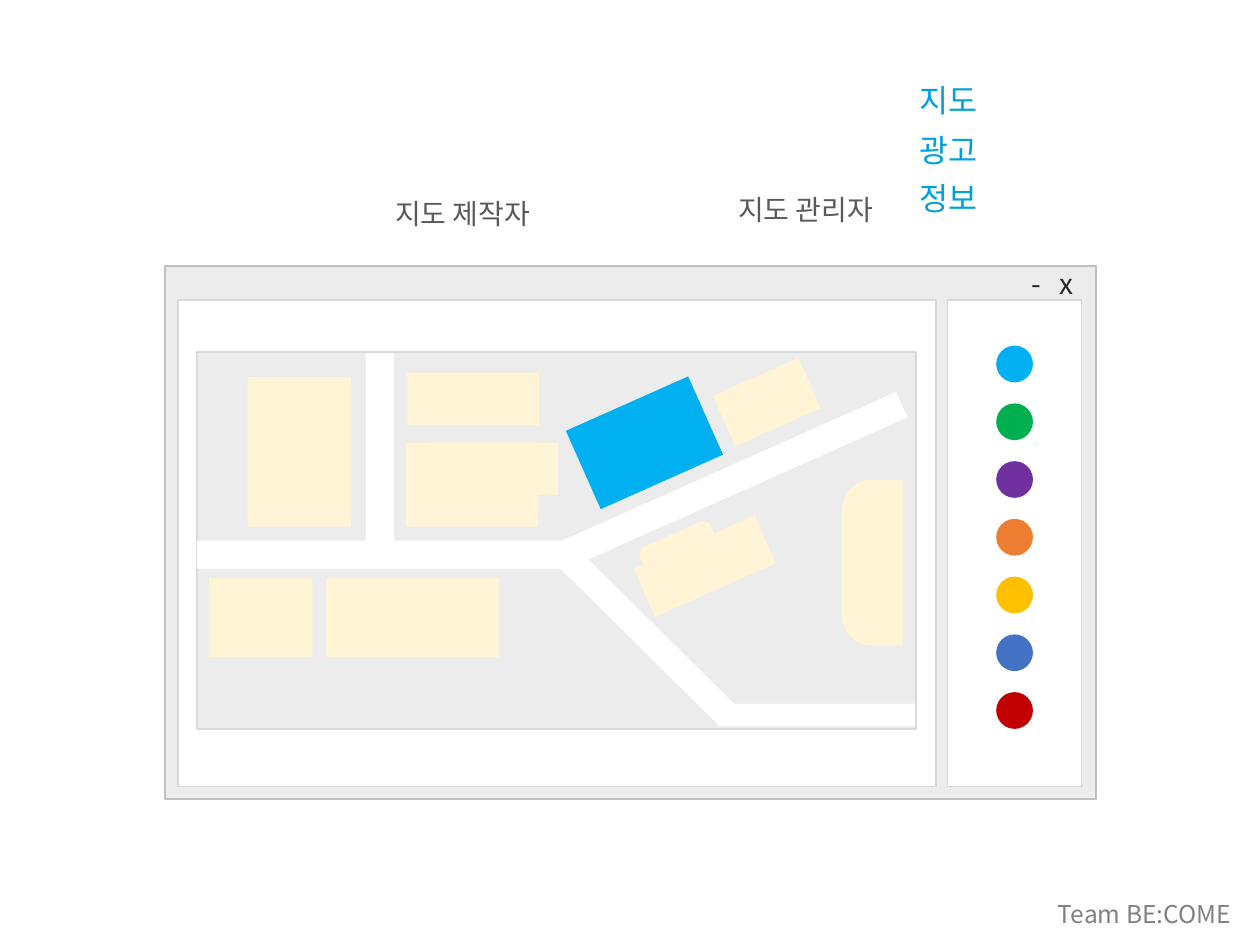
from collections import namedtuple
from dataclasses import dataclass

from lxml import etree
from pptx import Presentation
from pptx.dml.color import RGBColor
from pptx.enum.shapes import MSO_SHAPE
from pptx.enum.text import MSO_AUTO_SIZE, PP_ALIGN
from pptx.oxml.ns import qn
from pptx.util import Pt

RECT = MSO_SHAPE.RECTANGLE
ROUNDED = MSO_SHAPE.ROUNDED_RECTANGLE
ROUND_TOP = MSO_SHAPE.ROUND_2_SAME_RECTANGLE
OVAL = MSO_SHAPE.OVAL
LEFT, CENTER = PP_ALIGN.LEFT, PP_ALIGN.CENTER
FIT_SHAPE = MSO_AUTO_SIZE.SHAPE_TO_FIT_TEXT

Box = namedtuple("Box", "x y w h")


@dataclass(frozen=True)
class Theme:
    font: str = "Noto Sans CJK KR"
    ground: str = "ECECEC"
    white: str = "FFFFFF"
    window_edge: str = "BFBFBF"
    panel_edge: str = "D9D9D9"
    building: str = "FFF4D5"
    selected: str = "00B0F0"
    control: str = "262626"
    role: str = "595959"
    topic: str = "00A1DA"
    team: str = "808080"
    role_size: int = 16
    topic_size: int = 18
    team_size: int = 14
    palette: tuple = ("00B0F0", "00B050", "7030A0", "ED7D31",
                      "FFC000", "4472C4", "C00000")


THEME = Theme()


def inside(outer, x, y, w, h):
    """Box given relative to the top left corner of another box."""
    return Box(outer.x + x, outer.y + y, w, h)


def draw(slide, box, fill, edge=None, kind=RECT, angle=0):
    shape = slide.shapes.add_shape(kind, *map(Pt, box))
    shape.shadow.inherit = False
    shape.rotation = angle
    shape.fill.solid()
    shape.fill.fore_color.rgb = RGBColor.from_string(fill)
    if edge:
        shape.line.color.rgb = RGBColor.from_string(edge)
        shape.line.width = Pt(1)
    else:
        shape.line.fill.background()
    return shape


def write(slide, box, text, size, color, align=CENTER, wrap=True, tab=None):
    frame = slide.shapes.add_textbox(*map(Pt, box)).text_frame
    frame.word_wrap = wrap
    frame.auto_size = FIT_SHAPE
    paragraph = frame.paragraphs[0]
    paragraph.text = text
    paragraph.alignment = align
    properties = paragraph._p.get_or_add_pPr()
    if tab:
        stops = etree.SubElement(properties, qn("a:tabLst"))
        etree.SubElement(stops, qn("a:tab"), pos=str(Pt(tab)), algn="l")
    paragraph.font.size = Pt(size)
    paragraph.font.color.rgb = RGBColor.from_string(color)
    paragraph.font.name = THEME.font
    # Korean glyphs take the East Asian typeface
    defaults = properties.find(qn("a:defRPr"))
    etree.SubElement(defaults, qn("a:ea"), typeface=THEME.font)


def add_palette(slide, panel):
    draw(slide, panel, THEME.white, THEME.panel_edge)
    dot, pitch, top = 21, 33, 26
    for row, color in enumerate(THEME.palette):
        swatch = inside(panel, (panel.w - dot) / 2, top + row * pitch, dot, dot)
        draw(slide, swatch, color, kind=OVAL)


def add_window(slide, window):
    draw(slide, window, THEME.ground, THEME.window_edge)
    canvas = inside(window, 7, 19.5, 433.5, 278)
    draw(slide, canvas, THEME.white, THEME.panel_edge)
    add_palette(slide, inside(window, 447, 19.5, 76.5, 278))
    # Minimise and close controls
    write(slide, inside(window, 488, -3.5, 41.5, 26.5), "-\tx",
          THEME.role_size, THEME.control, LEFT, wrap=False, tab=16)
    add_map(slide, inside(canvas, 11, 29.5, 411, 215.5))


def add_map(slide, area):
    draw(slide, area, THEME.ground, THEME.panel_edge)
    slope = 336  # direction of the diagonal street

    # Roads: x, y, width, height, angle
    for *place, angle in (
        (0, 108, 212.5, 16, 0),
        (199.5, 65.5, 212.5, 16, slope),
        (188, 153.5, 135.5, 15, 44.7),
        (45.5, 52, 118, 16, 90),
        (297.5, 201, 113, 13, 0),
    ):
        draw(slide, inside(area, *place), THEME.white, angle=angle)

    # Buildings: x, y, width, height, angle
    for *place, angle in (
        (119.5, 52, 75.5, 48, 0),
        (131, 52, 75.5, 30, 0),
        (252.5, 107.5, 75.5, 30, slope),
        (7, 129, 59, 45.5, 0),
        (74, 129, 98.5, 45.5, 0),
        (299, 13, 53.5, 31.5, slope),
        (29, 14.5, 59, 85.5, 0),
        (120, 12, 75.5, 30, 0),
    ):
        draw(slide, inside(area, *place), THEME.building, angle=angle)

    # Buildings with rounded corners
    draw(slide, inside(area, 255.5, 103, 44.5, 30), THEME.building,
         kind=ROUNDED, angle=slope)
    hall = draw(slide, inside(area, 338.5, 103, 95, 35), THEME.building,
                kind=ROUND_TOP, angle=270)
    hall.adjustments[0] = 0.5

    # Selected building
    draw(slide, inside(area, 217.5, 27.5, 76.5, 49), THEME.selected, angle=slope)


def add_labels(slide, page):
    # Roles
    for role, x, y in (("지도 제작자", 201, 108.5), ("지도 관리자", 397, 106.5)):
        write(slide, inside(page, x, y, 126.5, 26.5), role,
              THEME.role_size, THEME.role)
    # Topics
    for topic, y in (("지도", 42.5), ("광고", 71.5), ("정보", 98.5)):
        write(slide, inside(page, 518, y, 47.5, 29), topic,
              THEME.topic_size, THEME.topic, wrap=False)
    # Team name
    write(slide, inside(page, 597.5, 510, 122.5, 24.5), "Team BE:COME",
          THEME.team_size, THEME.team, LEFT)


def main():
    page = Box(0, 0, 720, 540)
    deck = Presentation()
    deck.slide_width, deck.slide_height = Pt(page.w), Pt(page.h)
    slide = deck.slides.add_slide(deck.slide_layouts[6])
    add_window(slide, inside(page, 94.5, 152, 532, 304.5))
    add_labels(slide, page)
    deck.save("out.pptx")


if __name__ == "__main__":
    main()
